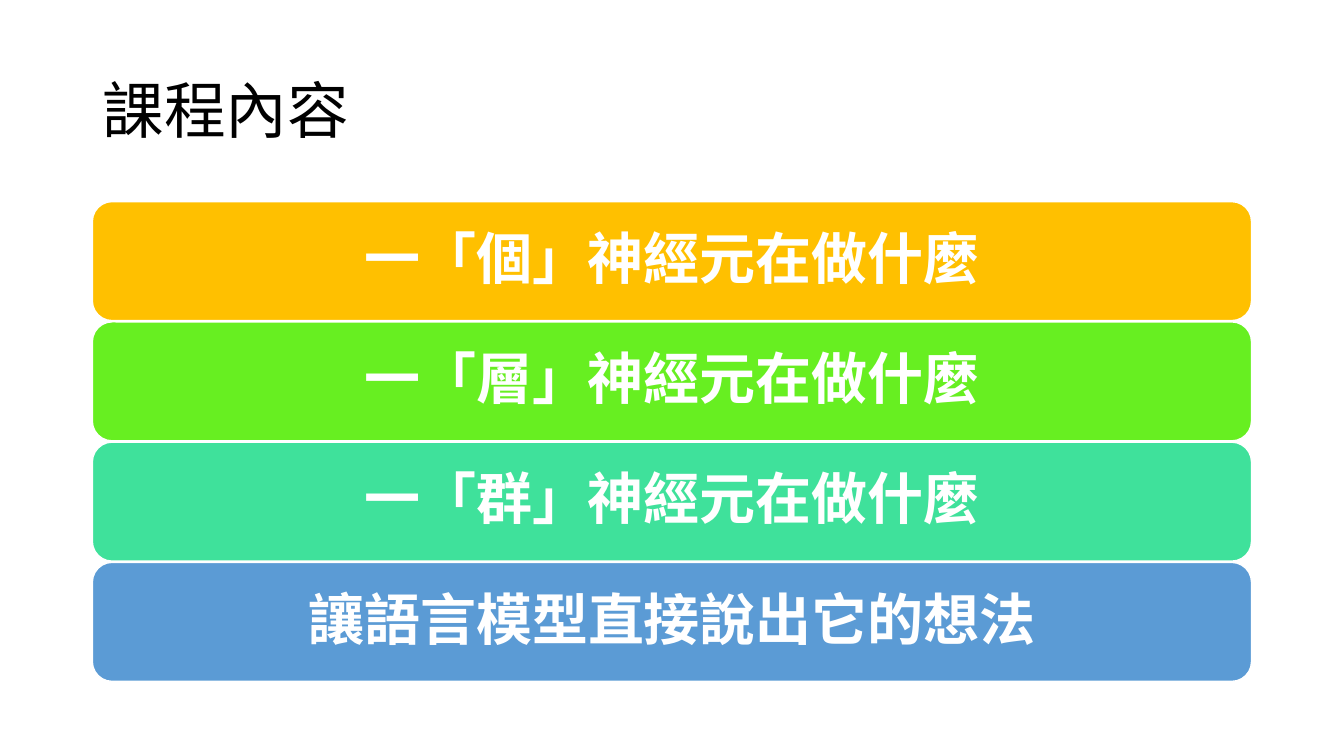
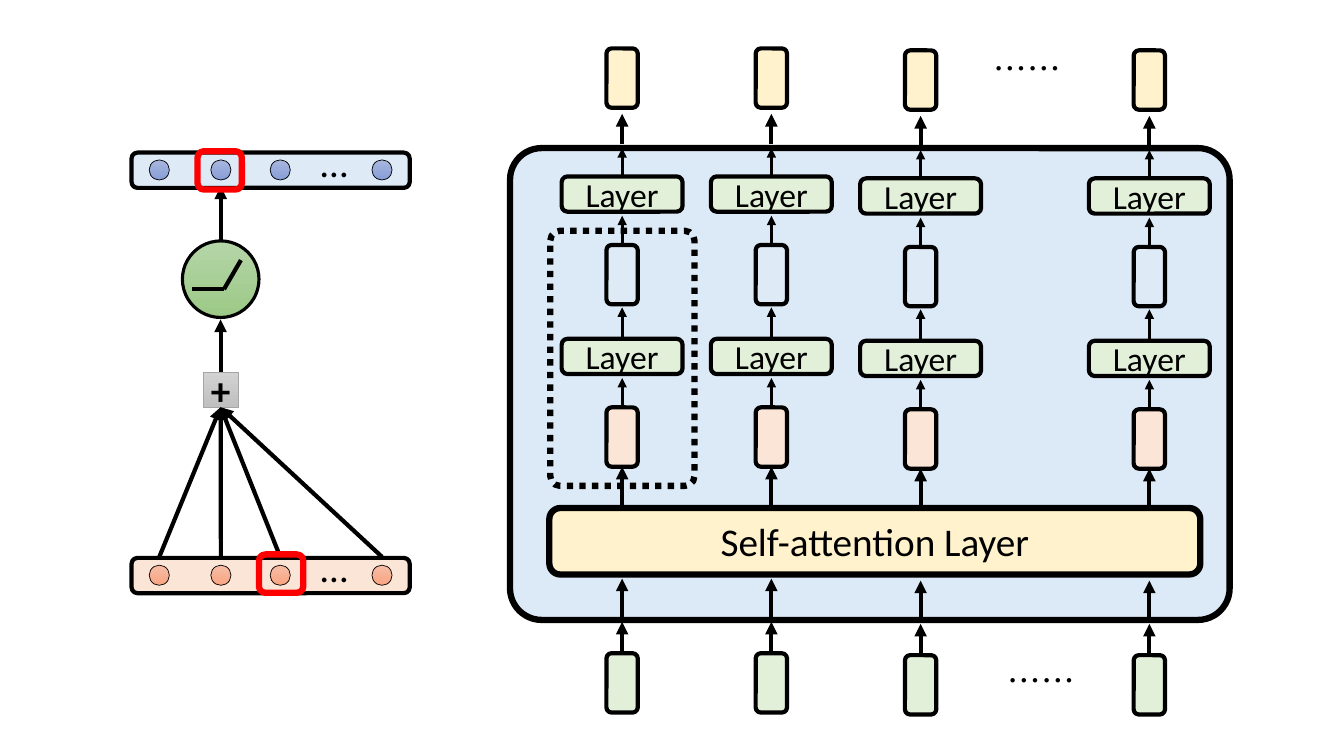
from lxml.etree import SubElement
from pptx import Presentation
from pptx.dml.color import RGBColor
from pptx.enum.dml import MSO_LINE
from pptx.enum.shapes import MSO_CONNECTOR, MSO_SHAPE
from pptx.enum.text import MSO_ANCHOR, PP_ALIGN
from pptx.oxml.ns import qn
from pptx.util import Pt

BLACK = RGBColor(0x00, 0x00, 0x00)
WHITE = RGBColor(0xFF, 0xFF, 0xFF)
RED = RGBColor(0xFF, 0x00, 0x00)
AMBER = RGBColor(0xFF, 0xC0, 0x00)
LIME = RGBColor(0x67, 0xEF, 0x21)
MINT = RGBColor(0x3F, 0xE1, 0x9B)
BLUE = RGBColor(0x5B, 0x9B, 0xD5)
PANEL_BLUE = RGBColor(0xDC, 0xEA, 0xF7)
PALE_BLUE = RGBColor(0xDE, 0xEB, 0xF7)
PALE_YELLOW = RGBColor(0xFF, 0xF2, 0xCC)
PALE_GREEN = RGBColor(0xE2, 0xF0, 0xD9)
PALE_ORANGE = RGBColor(0xFB, 0xE5, 0xD6)
GREY = RGBColor(0xA5, 0xA5, 0xA5)
# Gradients run from top to bottom
GREEN_GRADIENT = (RGBColor(0xB5, 0xD5, 0xA7), RGBColor(0x9C, 0xC9, 0x87))
GREY_GRADIENT = (RGBColor(0xD2, 0xD2, 0xD2), RGBColor(0xC0, 0xC0, 0xC0))
ORANGE_GRADIENT = (RGBColor(0xF7, 0xBD, 0xA5), RGBColor(0xF8, 0xA5, 0x82))
BLUE_GRADIENT = (RGBColor(0xA8, 0xB7, 0xDF), RGBColor(0x88, 0x9E, 0xD7))

CJK_FONT = "Noto Sans CJK SC"
LATIN_FONT = "Calibri"
ROUNDED = MSO_SHAPE.ROUNDED_RECTANGLE


def add_box(slide, kind, left, top, width, height, text="", fill=None, line=None,
            weight=3, radius=None, dash=None, size=24, font=LATIN_FONT,
            color=BLACK, bold=False, spacing=None, inset=None):
    """Add a preset shape, or a text box when kind is None, with its text."""
    place = Pt(left), Pt(top), Pt(width), Pt(height)
    if kind is None:
        shape = slide.shapes.add_textbox(*place)
    else:
        shape = slide.shapes.add_shape(kind, *place)
        shape.shadow.inherit = False
        if radius is not None:
            shape.adjustments[0] = radius
        if fill is None:
            shape.fill.background()
        elif isinstance(fill, RGBColor):
            shape.fill.solid()
            shape.fill.fore_color.rgb = fill
        else:
            shape.fill.gradient()
            shape.fill.gradient_angle = 270
            for stop, stop_color in zip(shape.fill.gradient_stops, fill):
                stop.color.rgb = stop_color
        shape.line.color.rgb = line
        shape.line.width = Pt(weight)
        if dash is not None:
            shape.line.dash_style = dash
    if text:
        frame = shape.text_frame
        frame.word_wrap = True
        frame.vertical_anchor = MSO_ANCHOR.TOP if kind is None else MSO_ANCHOR.MIDDLE
        if inset is not None:
            frame.margin_left = frame.margin_right = Pt(inset)
            frame.margin_top = frame.margin_bottom = Pt(inset)
        paragraph = frame.paragraphs[0]
        paragraph.alignment = PP_ALIGN.CENTER
        paragraph.line_spacing = spacing
        run = paragraph.add_run()
        run.text = text
        run.font.size = Pt(size)
        run.font.bold = bold
        run.font.name = font
        run.font.color.rgb = color
        SubElement(run._r.get_or_add_rPr(), qn("a:ea"), typeface=font)
    return shape


def add_line(slide, x1, y1, x2, y2, weight=3, arrow=True, begin=None, end=None):
    """Add a line; begin and end are (shape, side) pairs to join."""
    connector = slide.shapes.add_connector(
        MSO_CONNECTOR.STRAIGHT, Pt(x1), Pt(y1), Pt(x2), Pt(y2))
    if begin:
        connector.begin_connect(*begin)
    if end:
        connector.end_connect(*end)
    connector.line.color.rgb = BLACK
    connector.line.width = Pt(weight)
    if arrow:
        SubElement(connector.line._get_or_add_ln(), qn("a:tailEnd"), type="triangle")
    SubElement(connector._element.spPr, qn("a:effectLst"))


presentation = Presentation()
presentation.slide_width, presentation.slide_height = Pt(960), Pt(540)

# Slide 1: course contents
slide = presentation.slides.add_slide(presentation.slide_layouts[5])
title = slide.shapes.title
title.left, title.top, title.width, title.height = Pt(66), Pt(28.75), Pt(828), Pt(104.4)
title.text_frame.text = "課程內容"
title.text_frame.vertical_anchor = MSO_ANCHOR.MIDDLE
paragraph = title.text_frame.paragraphs[0]
paragraph.alignment = PP_ALIGN.LEFT
paragraph.line_spacing = 0.9
title_font = paragraph.runs[0].font
title_font.size, title_font.name = Pt(44), CJK_FONT
title_font.color.rgb = BLACK
SubElement(paragraph.runs[0]._r.get_or_add_rPr(), qn("a:ea"), typeface=CJK_FONT)

topics = [("一「個」神經元在做什麼", AMBER), ("一「層」神經元在做什麼", LIME),
          ("一「群」神經元在做什麼", MINT), ("讓語言模型直接說出它的想法", BLUE)]
for index, (topic, topic_color) in enumerate(topics):
    add_box(slide, ROUNDED, 66, 144 + 85.9 * index, 828, 85, topic,
            fill=topic_color, line=WHITE, weight=1, size=40, font=CJK_FONT,
            color=WHITE, bold=True, spacing=0.9, inset=12)

# Slide 2: transformer block
slide = presentation.slides.add_slide(presentation.slide_layouts[6])
add_box(slide, ROUNDED, 364.3, 105.8, 514, 337, fill=PANEL_BLUE, line=BLACK,
        weight=4.5, radius=0.067)
for left, top in [(673.2, 468), (663.1, 31)]:
    add_box(slide, None, left, top, 141, 36, "……", font=CJK_FONT)
add_box(slide, ROUNDED, 392.4, 362.9, 465, 47.5, "Self-attention Layer",
        fill=PALE_YELLOW, line=BLACK, weight=4.5, size=28)

# Token columns; the last two sit slightly lower
for center, drop in [(444.4, 0), (551, 0), (657.6, 1.4), (821, 1.4)]:
    source, result, attended, hidden = [
        add_box(slide, ROUNDED, center - 11.2, top + drop, 22.4, 42.4,
                fill=fill, line=BLACK)
        for top, fill in [(466.6, PALE_GREEN), (34.6, PALE_YELLOW),
                          (291, PALE_ORANGE), (175, PALE_BLUE)]]
    lower_layer, upper_layer = [
        add_box(slide, ROUNDED, center - 43.2, top + drop, 86.4, 25.2, "Layer",
                fill=PALE_GREEN, line=BLACK)
        for top in (242, 126)]
    for start, finish, weight, begin, end in [
            (466.6, 444.2, 3, (source, 0), None),
            (442.8, 413.3, 3, None, None),
            (362.9, 333.4, 3, None, (attended, 2)),
            (291, 270, 2.25, (attended, 0), None),
            (242, 219.6, 2.25, (lower_layer, 0), None),
            (175, 154.1, 2.25, (hidden, 0), None),
            (126, 105.8, 2.25, (upper_layer, 0), None),
            (103, 81.4, 3, None, None)]:
        add_line(slide, center, start + drop, center, finish + drop, weight,
                 begin=begin, end=end)
add_box(slide, ROUNDED, 393.1, 164.9, 103, 182.2, line=BLACK, weight=4.5,
        radius=0.067, dash=MSO_LINE.ROUND_DOT)

# Activation and sum of the single neuron
add_box(slide, MSO_SHAPE.OVAL, 130.3, 172.1, 54.7, 54.7, fill=GREEN_GRADIENT,
        line=BLACK, weight=2.25)
add_line(slide, 137.5, 206.6, 160, 206.6, arrow=False)
add_line(slide, 160, 206.6, 172.1, 185.8, arrow=False)
plus = add_box(slide, MSO_SHAPE.RECTANGLE, 145, 265.7, 25.2, 25.2, "+",
               fill=GREY_GRADIENT, line=GREY, weight=0.5, size=28, bold=True, inset=0)

# Input and output vectors
neuron_centers = [113.8, 157.8, 200.2, 272.9]
for top, fill, gradient in [(398.5, PALE_ORANGE, ORANGE_GRADIENT),
                            (109, PALE_BLUE, BLUE_GRADIENT)]:
    add_box(slide, ROUNDED, 94, top, 198.7, 25.2, fill=fill, line=BLACK)
    for center in neuron_centers:
        add_box(slide, MSO_SHAPE.OVAL, center - 7.2, top + 5.2, 14.4, 14.4,
                fill=gradient, line=BLACK, weight=0.5)
    add_box(slide, None, 214.6, top - 14, 48.2, 41, "…", size=28)

# Flow from the inputs through the neuron
for center in neuron_centers:
    add_line(slide, center, 397.8, 157.6, 291, end=(plus, 2))
add_line(slide, 157.6, 265.7, 157.6, 228.2, begin=(plus, 0))
add_line(slide, 157.7, 171.4, 157.7, 133.2)

# Highlighted neurons
for left, top in [(141.1, 108), (185, 396)]:
    add_box(slide, ROUNDED, left, top, 31.7, 27.4, line=RED, weight=4.5)

presentation.save("out.pptx")
